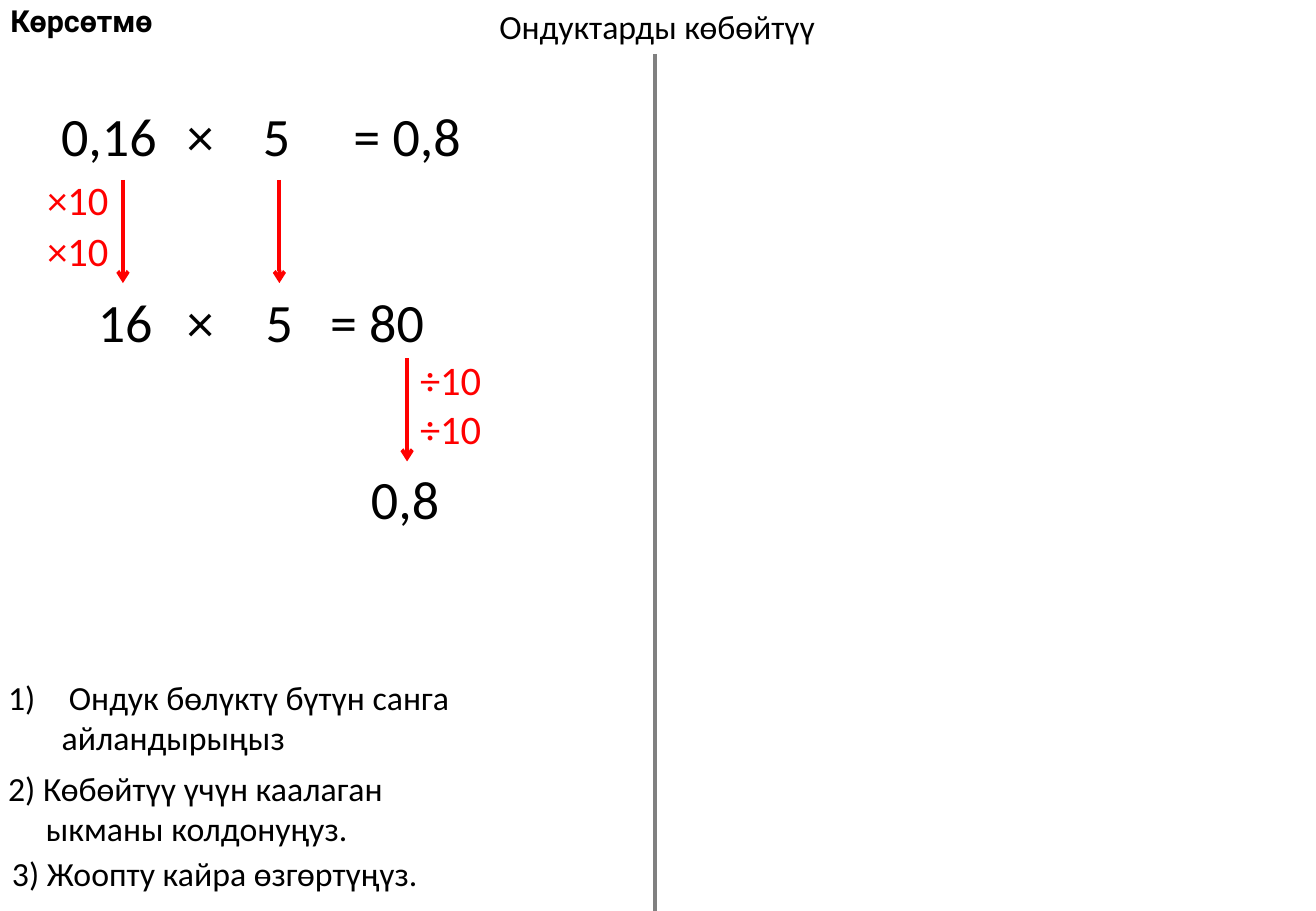
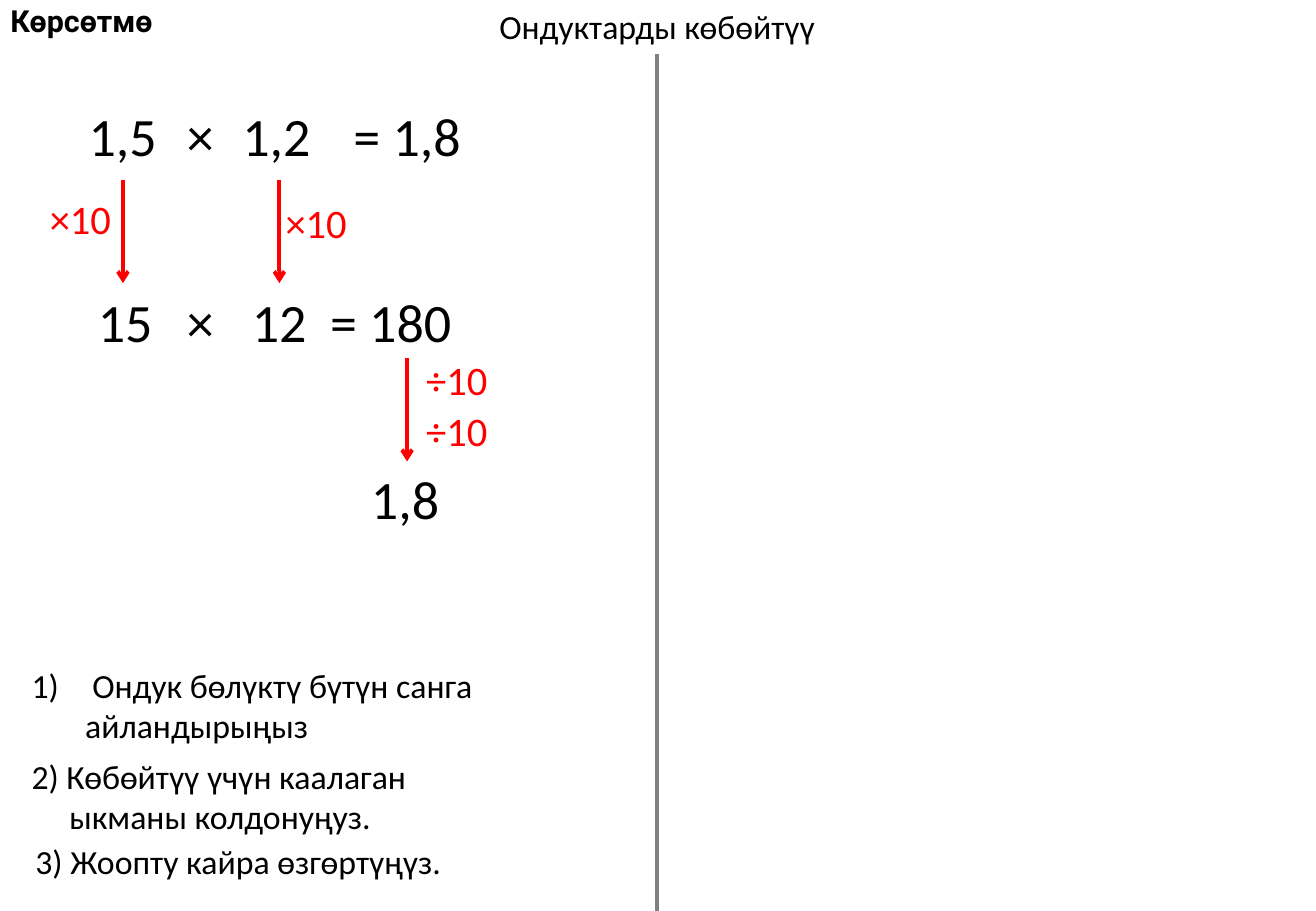
"""Build two worked examples of multiplying decimals."""
from dataclasses import dataclass

from lxml.etree import SubElement
from pptx import Presentation
from pptx.dml.color import RGBColor
from pptx.enum.shapes import MSO_CONNECTOR
from pptx.enum.text import MSO_AUTO_SIZE, PP_ALIGN
from pptx.oxml.ns import qn
from pptx.util import Cm, Pt

BLACK = RGBColor(0x00, 0x00, 0x00)
RED = RGBColor(0xFF, 0x00, 0x00)
GREY = RGBColor(0x80, 0x80, 0x80)
BODY_FONT = "Calibri"
HEADING_FONT = "Roboto"
NUMBER_SIZE, SCALE_SIZE, TEXT_SIZE, HEADING_SIZE = 32, 24, 20, 18
LEFT, CENTER, RIGHT = PP_ALIGN.LEFT, PP_ALIGN.CENTER, PP_ALIGN.RIGHT
ANCHOR_SHARE = {LEFT: 0, CENTER: 0.5, RIGHT: 1}

TOP_ROW, WHOLE_ROW, RESULT_ROW = 2.03, 5.9, 9.6
FIRST_COLUMN, SECOND_COLUMN, RESULT_COLUMN = 2.57, 5.84, 8.51
ARROW_LENGTH = 2.16


@dataclass
class Example:
    """Hold the numbers and the varying places of one slide."""
    decimals: tuple
    wholes: tuple
    product: str
    answer: str
    scales: tuple
    divider: float
    steps_at: tuple


EXAMPLES = (
    Example(("0,16", "5"), ("16", "5"), "80", "0,8",
            (("×10", 0.74, 3.53), ("×10", 0.74, 4.6),
             ("÷10", 8.53, 7.29), ("÷10", 8.53, 8.33)),
            13.69, (-0.08, 14.02)),
    Example(("1,5", "1,2"), ("15", "12"), "180", "1,8",
            (("×10", 0.79, 3.94), ("×10", 5.72, 4.01),
             ("÷10", 8.66, 7.29), ("÷10", 8.66, 8.36)),
            13.74, (0.41, 13.77)),
)


def add_text(page, lines, anchor, top, width, size, align=LEFT,
             color=BLACK, font=BODY_FONT, bold=False):
    """Add a text box whose left, centre or right edge is at the anchor."""
    left = anchor - width * ANCHOR_SHARE[align]
    height = 0.25 + 0.043 * size * len(lines)
    box = page.shapes.add_textbox(Cm(left), Cm(top), Cm(width), Cm(height))
    frame = box.text_frame
    frame.word_wrap = False
    frame.auto_size = MSO_AUTO_SIZE.SHAPE_TO_FIT_TEXT
    for index, line in enumerate(lines):
        para = frame.paragraphs[0] if index == 0 else frame.add_paragraph()
        para.alignment = align
        span = para.add_run()
        span.text = line
        span.font.size = Pt(size)
        span.font.name = font
        span.font.bold = bold
        span.font.color.rgb = color
    return frame


def add_number(page, text, anchor, top, align, size=NUMBER_SIZE, color=BLACK):
    """Add a number or sign in a box as wide as its characters."""
    glyphs = sum(0.27 if char in ", " else 0.57 for char in text)
    width = 0.53 + glyphs * size / NUMBER_SIZE
    add_text(page, [text], anchor, top, width, size, align, color)


def add_vertical(page, x, top, bottom, color, arrow=False):
    """Add a vertical line, with an arrowhead at its foot if asked."""
    line = page.shapes.add_connector(
        MSO_CONNECTOR.STRAIGHT, Cm(x), Cm(top), Cm(x), Cm(bottom))
    line.line.color.rgb = color
    line.line.width = Pt(2.25)
    properties = line.element.spPr
    if arrow:
        SubElement(properties.find(qn("a:ln")), qn("a:tailEnd"), type="arrow")
    SubElement(properties, qn("a:effectLst"))


def indent(para, left, first=0):
    """Set the left and first-line indents of a paragraph."""
    properties = para._p.get_or_add_pPr()
    properties.set("marL", str(Cm(left)))
    properties.set("indent", str(Cm(first)))
    return properties


def add_steps(page, left, top):
    """Add the three numbered instructions."""
    first = add_text(page, ["Ондук бөлүктү бүтүн санга", "айландырыңыз"],
                     left, top, 9.98, TEXT_SIZE)
    numbered = indent(first.paragraphs[0], 1.27, -1.27)
    SubElement(numbered, qn("a:buAutoNum"), type="arabicParenR")
    indent(first.paragraphs[1], 1.12)
    second = add_text(page, ["2) Көбөйтүү үчүн каалаган", "ыкманы колдонуңуз."],
                      left, top + 1.9, 8.59, TEXT_SIZE)
    indent(second.paragraphs[1], 0.79)
    add_text(page, ["3) Жоопту кайра өзгөртүңүз."],
             left + 0.08, top + 3.68, 9.07, TEXT_SIZE)


def add_calculation(page, example):
    """Add both products, the arrows between them and the scale factors."""
    add_number(page, example.decimals[0], 3.53, TOP_ROW, RIGHT)
    add_number(page, example.decimals[1], 5.78, TOP_ROW, CENTER)
    add_number(page, f"= {example.answer}", 7.14, TOP_ROW, LEFT)
    add_number(page, example.wholes[0], 2.62, WHOLE_ROW, CENTER)
    add_number(page, example.wholes[1], SECOND_COLUMN, WHOLE_ROW, CENTER)
    add_number(page, f"= {example.product}", 6.65, WHOLE_ROW, LEFT)
    add_number(page, example.answer, 8.47, RESULT_ROW, CENTER)
    for row in (TOP_ROW, WHOLE_ROW):
        add_number(page, "×", 4.72, row, RIGHT)
    for x, top in ((FIRST_COLUMN, 3.76), (SECOND_COLUMN, 3.76),
                   (RESULT_COLUMN, 7.49)):
        add_vertical(page, x, top, top + ARROW_LENGTH, RED, arrow=True)
    for text, left, top in example.scales:
        add_number(page, text, left, top, LEFT, SCALE_SIZE, RED)


def add_page(deck, example):
    """Add one slide with its headings, divider, calculation and steps."""
    page = deck.slides.add_slide(deck.slide_layouts[6])
    add_vertical(page, example.divider, 1.13, 19.05, GREY)
    add_text(page, ["Көрсөтмө"], -0.03, -0.08, 3.51, HEADING_SIZE,
             font=HEADING_FONT, bold=True)
    add_text(page, ["Ондуктарды көбөйтүү"], 13.74, 0, 7.16, TEXT_SIZE, CENTER)
    add_calculation(page, example)
    add_steps(page, *example.steps_at)


def main():
    """Build and save the deck."""
    deck = Presentation()
    deck.slide_width, deck.slide_height = Cm(27.51), Cm(19.05)
    for example in EXAMPLES:
        add_page(deck, example)
    deck.save("out.pptx")


if __name__ == "__main__":
    main()
